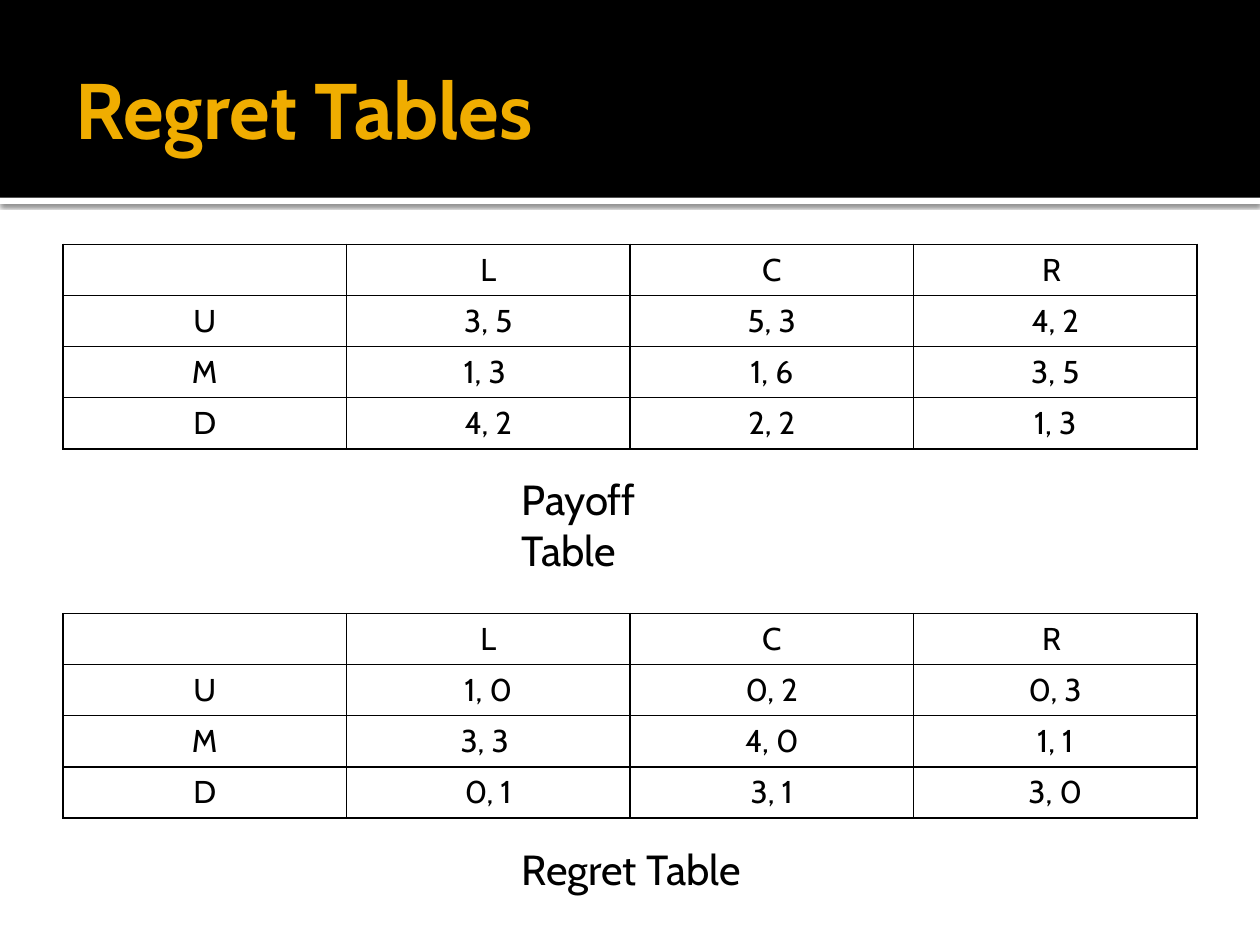
from lxml import etree
from pptx import Presentation
from pptx.dml.color import RGBColor
from pptx.enum.shapes import MSO_SHAPE as Preset
from pptx.enum.text import MSO_ANCHOR as Anchor, PP_ALIGN as Align
from pptx.oxml import parse_xml
from pptx.oxml.ns import nsdecls, qn
from pptx.util import Pt

FONT = "Cabin"
BLACK, WHITE, GOLD = "000000", "FFFFFF", "F0AD00"
PAYOFFS = [
    ["", "L", "C", "R "],
    ["U", "3, 5", "5, 3", "4, 2"],
    ["M", "1, 3 ", "1, 6", "3, 5"],
    ["D", "4, 2", "2, 2", "1, 3"],
]
REGRETS = [
    ["", "L", "C", "R "],
    ["U", "1, 0", "0, 2", "0, 3"],
    ["M", "3, 3 ", "4, 0", "1, 1"],
    ["D", "0, 1", "3, 1", "3, 0"],
]


def colour(value):
    return RGBColor.from_string(value)


def apply_format(target, values):
    for name, value in values.items():
        setattr(target, name, value)


def write_span(para, text, size, tint=BLACK, bold=False):
    span = para.add_run()
    span.text = text
    apply_format(span.font, {"name": FONT, "size": Pt(size), "bold": bold})
    span.font.color.rgb = colour(tint)


def add_bar(page, box, fill):
    bar = page.shapes.add_shape(Preset.RECTANGLE, *map(Pt, box))
    bar.shadow.inherit = False
    bar.fill.solid()
    bar.fill.fore_color.rgb = colour(fill)
    bar.line.fill.background()
    return bar


def add_shadow(bar):
    effects = bar._element.spPr.find(qn("a:effectLst"))
    effects.append(parse_xml(
        f'<a:outerShdw {nsdecls("a")} blurRad="{Pt(2.5)}" dist="{Pt(0.8)}" '
        'dir="5400000" algn="tl" rotWithShape="0"><a:srgbClr val="000000">'
        '<a:alpha val="60000"/></a:srgbClr></a:outerShdw>'))


def add_text(page, box, text, size, tint=BLACK, bold=False, **frame_format):
    frame = page.shapes.add_textbox(*map(Pt, box)).text_frame
    apply_format(frame, {"word_wrap": True, **frame_format})
    write_span(frame.paragraphs[0], text, size, tint, bold)


def add_header(page, box, title):
    left, top, width, height = box
    add_shadow(add_bar(page, (left, top + height, width, 3.6), WHITE))
    add_bar(page, box, BLACK)
    add_text(page, (left + 36, top + 12, width - 72, height - 14), title, 45,
             GOLD, True, vertical_anchor=Anchor.MIDDLE, margin_right=Pt(3.6))


def add_borders(cell):
    properties = cell._tc.get_or_add_tcPr()
    for index, side in enumerate(("lnL", "lnR", "lnT", "lnB")):
        border = etree.Element(qn(f"a:{side}"), w=str(Pt(1)))
        fill = etree.SubElement(border, qn("a:solidFill"))
        etree.SubElement(fill, qn("a:srgbClr"), val=BLACK)
        properties.insert(index, border)


def add_game_table(page, box, rows):
    left, top, width, height = box
    table = page.shapes.add_table(len(rows), len(rows[0]), *map(Pt, box)).table
    apply_format(table, {"first_row": False, "horz_banding": False})
    for column in table.columns:
        column.width = Pt(width / len(rows[0]))
    for row, texts in zip(table.rows, rows):
        row.height = Pt(height / len(rows))
        for cell, text in zip(row.cells, texts):
            cell.fill.background()
            add_borders(cell)
            para = cell.text_frame.paragraphs[0]
            para.alignment = Align.CENTER
            if text:
                write_span(para, text, 18)


def add_game(page, box, rows, caption, caption_width):
    left, top, width, height = box
    add_game_table(page, box, rows)
    add_text(page, (left + 255, top + height + 10.8, caption_width, 36),
             caption, 24)


def main():
    deck = Presentation()
    apply_format(deck, {"slide_width": Pt(720), "slide_height": Pt(540)})
    page = deck.slides.add_slide(deck.slide_layouts[6])
    add_header(page, (0, 0, 720, 113), "Regret Tables")
    add_game(page, (36, 139.7, 648, 116.8), PAYOFFS, "Payoff Table", 136)
    add_game(page, (36, 350.6, 648, 116.8), REGRETS, "Regret Table", 144)
    deck.save("out.pptx")


if __name__ == "__main__":
    main()
